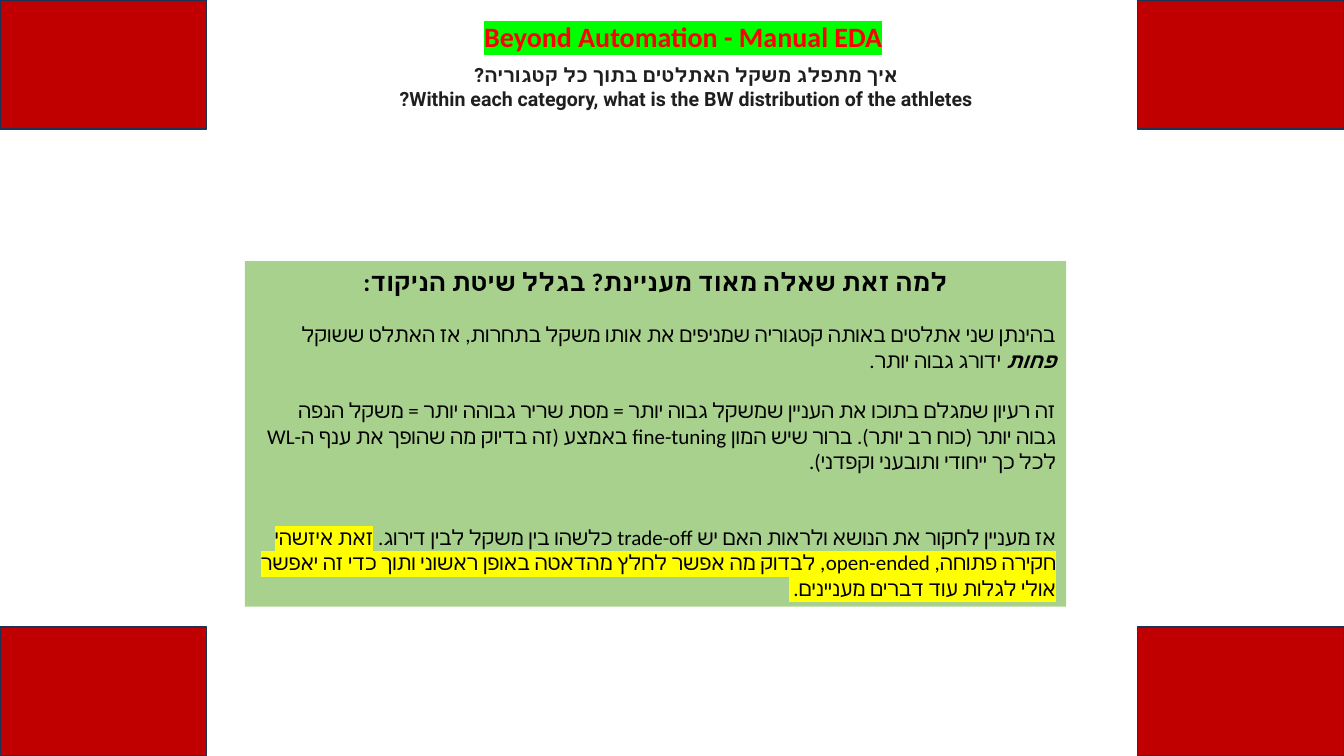
from lxml import etree
from pptx import Presentation
from pptx import util as u
from pptx.dml.color import RGBColor
from pptx.enum import shapes, text
from pptx.oxml.ns import qn


def rgb(value):
    return RGBColor.from_string(value)


class Deck:
    RED, GREEN, NAVY = "C00000", "A9D18E", "1E3256"
    BODY = {"size": 15}

    def __init__(self, width, height):
        self.prs = Presentation()
        self.prs.slide_width, self.prs.slide_height = u.Cm(width), u.Cm(height)
        self.s = self.prs.slides.add_slide(self.prs.slide_layouts[5])

    def add_run(self, p, words, size, font="Calibri", color="000000",
                bold=False, italic=False, highlight=None):
        r = p.add_run()
        r.text = words
        f = r.font
        f.size, f.bold, f.italic = u.Pt(size), bold, italic
        f.color.rgb = rgb(color)
        rpr = r._r.get_or_add_rPr()
        if highlight:
            mark = etree.SubElement(rpr, qn("a:highlight"))
            etree.SubElement(mark, qn("a:srgbClr"), val=highlight)
        f.name = font
        etree.SubElement(rpr, qn("a:cs"), typeface=font)

    def fill_text(self, sp, paragraphs):
        tf = sp.text_frame
        tf.word_wrap = True
        tf.auto_size = text.MSO_AUTO_SIZE.NONE
        tf.vertical_anchor = text.MSO_ANCHOR.TOP
        for i, (align, before, runs) in enumerate(paragraphs):
            p = tf.add_paragraph() if i else tf.paragraphs[0]
            p.alignment = align
            p.space_before = u.Pt(before)
            p._p.get_or_add_pPr().set("rtl", "1")
            for words, style in runs:
                self.add_run(p, words, **style)

    def title(self, box, paragraphs):
        sp = self.s.shapes.title
        sp.left, sp.top, sp.width, sp.height = map(u.Cm, box)
        self.fill_text(sp, paragraphs)

    def textbox(self, box, paragraphs):
        self.fill_text(self.s.shapes.add_textbox(*map(u.Cm, box)), paragraphs)

    def rectangle(self, box, fill, line=None, paragraphs=()):
        sp = self.s.shapes.add_shape(shapes.MSO_SHAPE.RECTANGLE, *map(u.Cm, box))
        sp.shadow.inherit = False
        sp.fill.solid()
        sp.fill.fore_color.rgb = rgb(fill)
        if line:
            sp.line.color.rgb = rgb(line)
            sp.line.width = u.Pt(1)
        else:
            sp.line.fill.background()
        self.fill_text(sp, paragraphs)


def main():
    width, height = 33.87, 19.05
    corner_w, corner_h = 5.21, 3.25
    center, right = text.PP_ALIGN.CENTER, text.PP_ALIGN.RIGHT
    deck = Deck(width, height)
    body = deck.BODY

    deck.title((6.17, 0.36, 22.1, 1.96), [
        (center, 0, [("Beyond Automation - Manual EDA",
                      {"size": 20, "color": "FF0000", "bold": True, "highlight": "00FF00"})]),
    ])

    question = {"size": 14, "font": "Roboto", "color": "1F1F1F", "bold": True}
    deck.textbox((9.22, 1.47, 16.03, 3.25), [
        (center, 0, [("איך מתפלג משקל האתלטים בתוך כל קטגוריה? ", question)]),
        (center, 0, [("Within each category, what is the BW distribution of the athletes? ", question)]),
    ])

    blank = 18.3
    deck.rectangle((6.17, 6.58, 20.7, 8.71), deck.GREEN, paragraphs=[
        (center, 0, [("למה זאת שאלה מאוד מעניינת? בגלל שיטת הניקוד:", {"size": 18, "bold": True})]),
        (right, blank, [
            ("בהינתן שני אתלטים באותה קטגוריה שמניפים את אותו משקל בתחרות, אז האתלט ששוקל ", body),
            ("פחות", {**body, "bold": True, "italic": True}),
            (" ידורג גבוה יותר.", body),
        ]),
        (right, blank, [
            ("זה רעיון שמגלם בתוכו את העניין שמשקל גבוה יותר = מסת שריר גבוהה יותר = "
             "משקל הנפה גבוה יותר (כוח רב יותר). ברור שיש המון fine-tuning באמצע "
             "(זה בדיוק מה שהופך את ענף ה-WL לכל כך ייחודי ותובעני וקפדני).", body),
        ]),
        (right, 2 * blank, [
            ("אז מעניין לחקור את הנושא ולראות האם יש trade-off כלשהו בין משקל לבין דירוג. ", body),
            ("זאת איזשהי חקירה פתוחה, open-ended, לבדוק מה אפשר לחלץ מהדאטה באופן "
             "ראשוני ותוך כדי זה יאפשר אולי לגלות עוד דברים מעניינים. ",
             {**body, "highlight": "FFFF00"}),
        ]),
    ])

    for left in (0, width - corner_w):
        for top in (0, height - corner_h):
            deck.rectangle((left, top, corner_w, corner_h), deck.RED, deck.NAVY)

    deck.prs.save("out.pptx")


if __name__ == "__main__":
    main()
